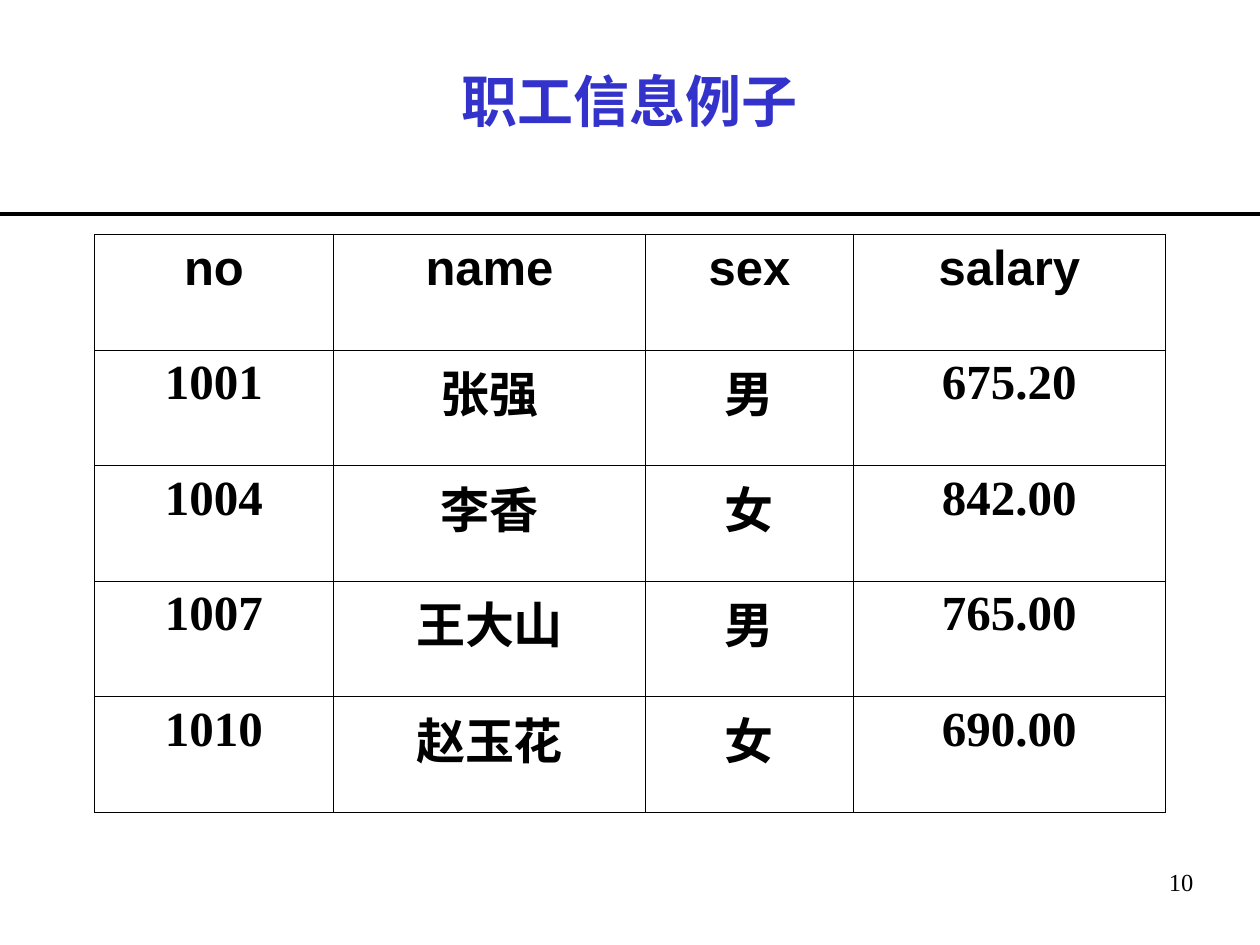
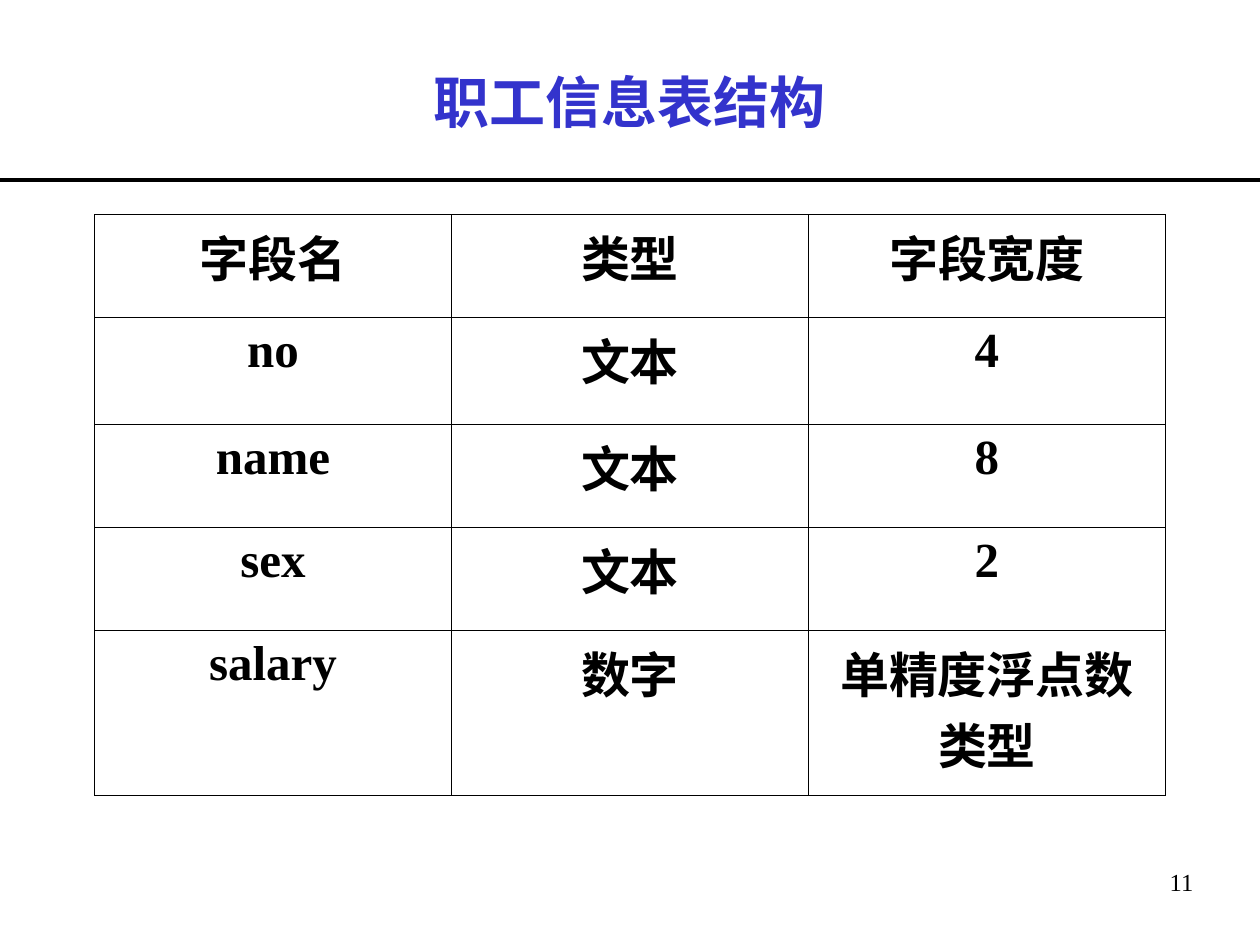
"""Build two slides: employee sample records and the structure of their table."""
from dataclasses import dataclass

from lxml import etree
from pptx import Presentation
from pptx.dml.color import RGBColor
from pptx.enum.shapes import MSO_CONNECTOR
from pptx.enum.text import MSO_ANCHOR, PP_ALIGN
from pptx.oxml.ns import qn
from pptx.util import Pt

STRAIGHT = MSO_CONNECTOR.STRAIGHT
MIDDLE, TOP = MSO_ANCHOR.MIDDLE, MSO_ANCHOR.TOP
CENTER, RIGHT = PP_ALIGN.CENTER, PP_ALIGN.RIGHT


@dataclass(frozen=True)
class Theme:
    title_color: str = "3333CC"
    ink: str = "000000"
    paper: str = "FFFFFF"
    header_font: str = "Arial"
    body_font: str = "Times New Roman"
    title_size: float = 32
    table_size: float = 28
    number_size: float = 14
    rule_width: float = 2.25
    border_width: float = 0.45


THEME = Theme()
SLIDE_WIDTH, SLIDE_HEIGHT = 720, 540
MARGIN = 54
CONTENT_WIDTH = SLIDE_WIDTH - 2 * MARGIN

SLIDES = [
    {
        "title": "职工信息例子",
        "number": "10",
        "title_top": 12.25,
        "rule_top": 122.5,
        "table_top": 134,
        "columns": [136.5, 178.5, 118.5, 178.5],
        "rows": [66] * 5,
        "records": [
            ["no", "name", "sex", "salary"],
            ["1001", "张强", "男", "675.20"],
            ["1004", "李香", "女", "842.00"],
            ["1007", "王大山", "男", "765.00"],
            ["1010", "赵玉花", "女", "690.00"],
        ],
    },
    {
        "title": "职工信息表结构",
        "number": "11",
        "title_top": 13,
        "rule_top": 103,
        "table_top": 122.5,
        "columns": [CONTENT_WIDTH / 3] * 3,
        "rows": [59, 61, 59, 59, 94],
        "records": [
            ["字段名", "类型", "字段宽度"],
            ["no", "文本", "4"],
            ["name", "文本", "8"],
            ["sex", "文本", "2"],
            ["salary", "数字", "单精度浮点数类型"],
        ],
    },
]


def write_text(text_frame, text, size, color, font_name, bold=True, alignment=CENTER):
    text_frame.word_wrap = True
    text_frame.text = text
    paragraph = text_frame.paragraphs[0]
    paragraph.alignment = alignment
    font = paragraph.runs[0].font
    font.size, font.bold, font.name = Pt(size), bold, font_name
    font.color.rgb = RGBColor.from_string(color)


def draw_borders(cell):
    properties = cell._tc.get_or_add_tcPr()
    for side in ("a:lnL", "a:lnR", "a:lnT", "a:lnB"):
        line = etree.SubElement(properties, qn(side), w=str(Pt(THEME.border_width)))
        fill = etree.SubElement(line, qn("a:solidFill"))
        etree.SubElement(fill, qn("a:srgbClr"), val=THEME.ink)


presentation = Presentation()
presentation.slide_width, presentation.slide_height = Pt(SLIDE_WIDTH), Pt(SLIDE_HEIGHT)
blank_layout = presentation.slide_layouts[6]

for content in SLIDES:
    slide = presentation.slides.add_slide(blank_layout)
    slide.background.fill.solid()
    slide.background.fill.fore_color.rgb = RGBColor.from_string(THEME.paper)

    title = slide.shapes.add_textbox(
        Pt(MARGIN), Pt(content["title_top"]), Pt(CONTENT_WIDTH), Pt(90))
    title.text_frame.vertical_anchor = MIDDLE
    write_text(title.text_frame, content["title"], THEME.title_size,
               THEME.title_color, THEME.body_font)

    records = content["records"]
    table = slide.shapes.add_table(
        len(records), len(records[0]), Pt(MARGIN), Pt(content["table_top"]),
        Pt(CONTENT_WIDTH), Pt(sum(content["rows"]))).table
    table.first_row = table.horz_banding = False
    for column, width in zip(table.columns, content["columns"]):
        column.width = Pt(width)
    for row_index, (row, height) in enumerate(zip(table.rows, content["rows"])):
        row.height = Pt(height)
        font_name = THEME.body_font if row_index else THEME.header_font
        for cell, text in zip(row.cells, records[row_index]):
            write_text(cell.text_frame, text, THEME.table_size, THEME.ink, font_name)
            cell.vertical_anchor = TOP
            draw_borders(cell)
            cell.fill.background()

    rule_top = Pt(content["rule_top"])
    rule = slide.shapes.add_connector(STRAIGHT, 0, rule_top, Pt(SLIDE_WIDTH), rule_top)
    rule.line.color.rgb = RGBColor.from_string(THEME.ink)
    rule.line.width = Pt(THEME.rule_width)
    etree.SubElement(rule._element.spPr, qn("a:effectLst"))

    number = slide.shapes.add_textbox(Pt(647.5), Pt(492), Pt(41.5), Pt(48))
    write_text(number.text_frame, content["number"], THEME.number_size, THEME.ink,
               THEME.body_font, bold=False, alignment=RIGHT)

presentation.save("out.pptx")
